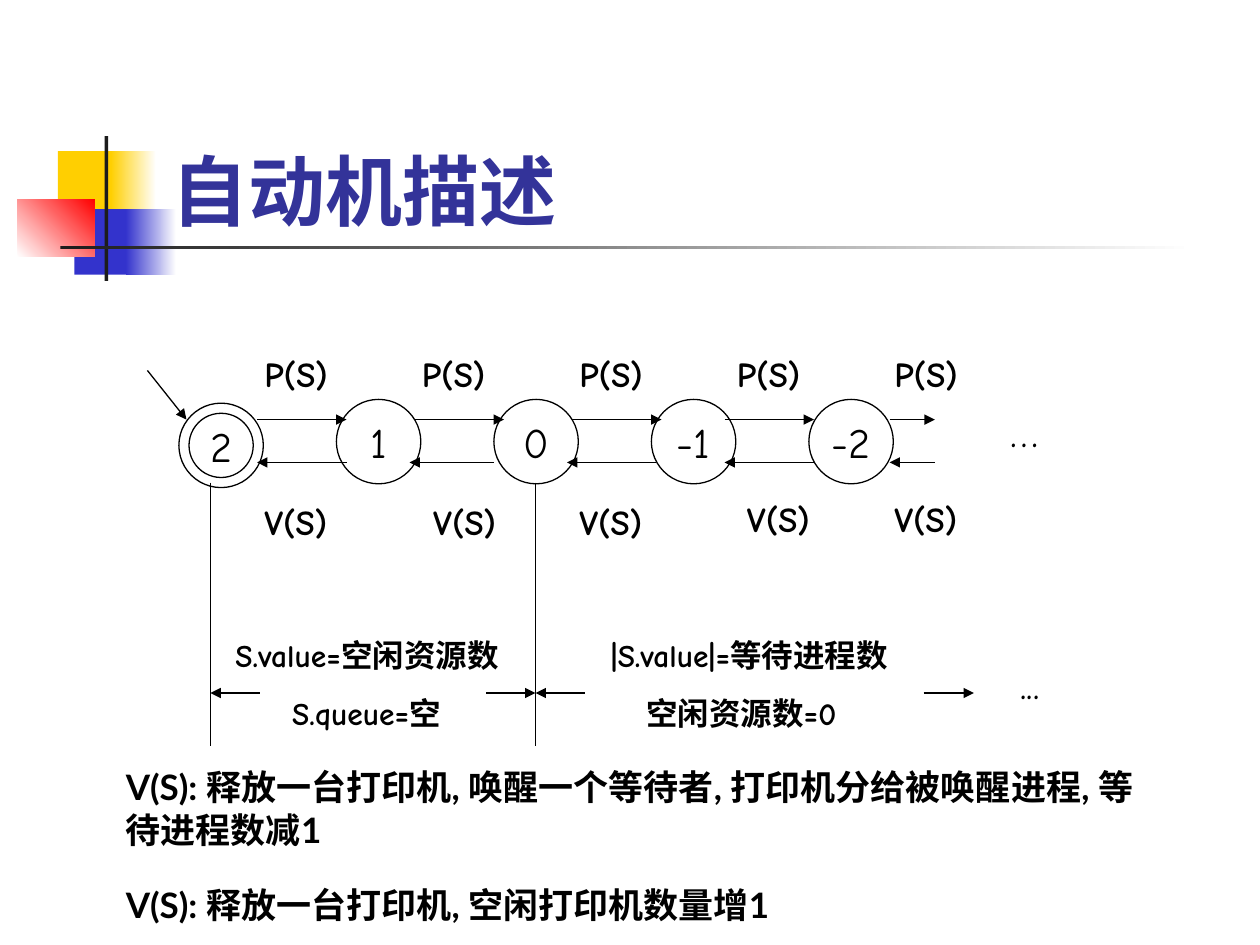
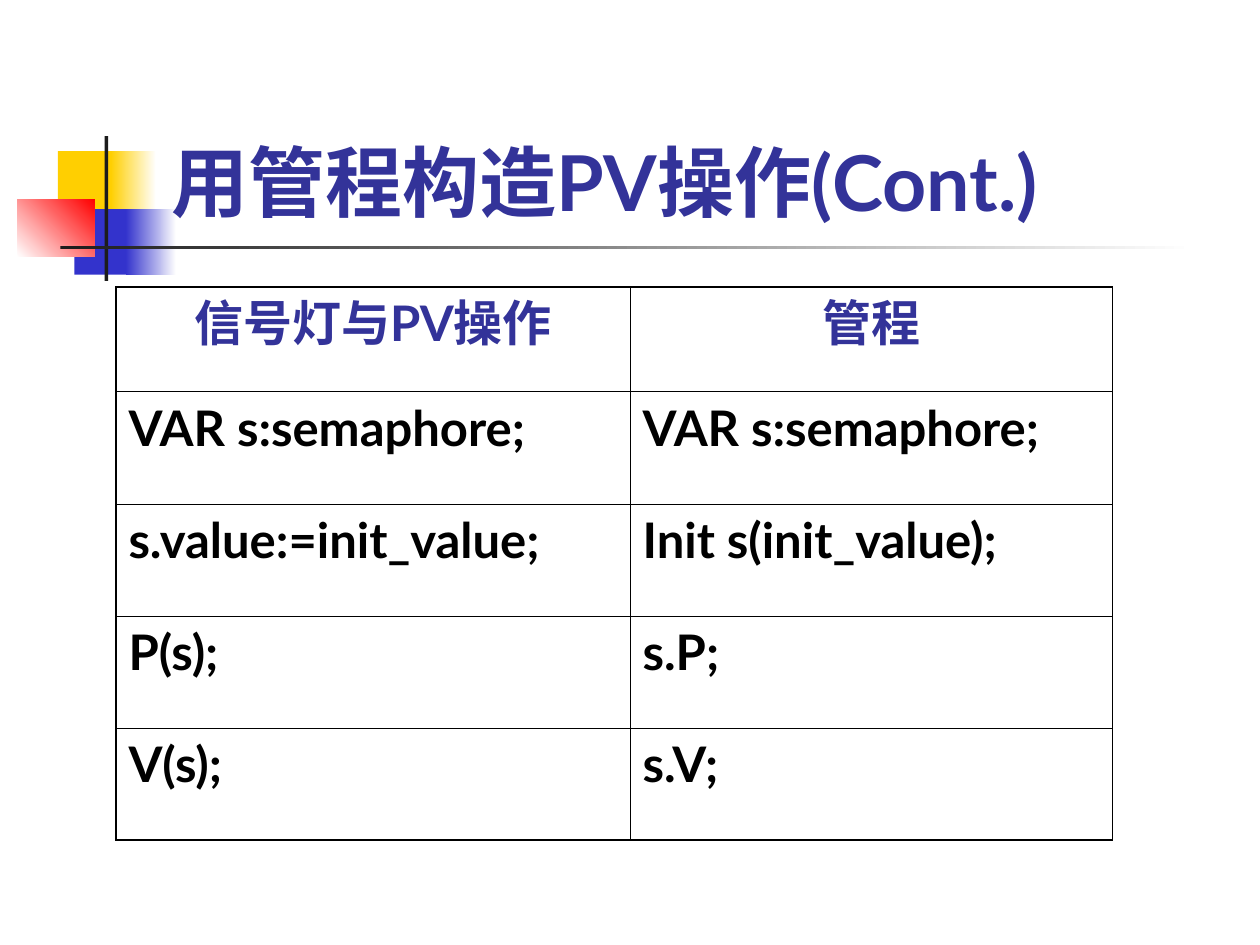
from lxml.etree import SubElement
from pptx import Presentation
from pptx.dml.color import RGBColor
from pptx.enum.shapes import MSO_CONNECTOR, MSO_SHAPE
from pptx.enum.text import MSO_ANCHOR, MSO_AUTO_SIZE, PP_ALIGN
from pptx.oxml import parse_xml
from pptx.oxml.ns import nsdecls, qn
from pptx.util import Inches, Pt

THEME = {
    "ink": "000000", "head": "333399", "gold": "FFCF01", "blue": "3333CC",
    "red": "FF0000", "dark": "1C1C1C", "white": "FFFFFF",
    "hand": "Comic Neue", "sans": "Lato",
    "title": 44, "cell": 28, "state": 24, "label": 20, "note": 18,
    "line": 0.75, "outer": 1.08, "inner": 0.45,
}

DECOR = [
    ((0.46, 1.2, 0.48, 0.52), ("gold",), 0),
    ((0.88, 1.2, 0.36, 0.52), ("gold", "white"), 0),
    ((0.59, 1.66, 0.46, 0.52), ("blue",), 0),
    ((1, 1.66, 0.4, 0.52), ("blue", "white"), 0),
    ((0.14, 1.58, 0.61, 0.46), ("white", "red"), 45),
    ((0.83, 1.08, 0.03, 1.15), ("dark",), 0),
    ((0.48, 1.95, 9, 0.03), ("dark", "white"), 0),
]

STATES = ["2", "1", "0", "-1", "-2"]
STEP, SIZE = 1.25, 0.67
P_ROW, V_ROW = 3.33, 3.67
P_SPANS = [(2.04, 2.75), (3.29, 4), (4.54, 5.25), (5.75, 6.46), (7.06, 7.42)]
V_SPANS = [(2.75, 2.04), (3.92, 3.25), (5.21, 4.5), (6.46, 5.75), (7.42, 7.06)]
V_SPOTS = [(2, 3.92), (3.34, 3.92), (4.5, 3.92), (5.83, 3.9), (7, 3.9)]
RANGES = [(3.86, 4.25), (2.06, 1.67), (4.64, 4.25), (7.33, 7.73)]
RANGE_ROW = 5.5
POSTS = [1.67, 4.25]
DOTS = [("…", (7.92, 3.17, 0.5, 0.5)), ("...", (8, 5.17, 0.67, 0.5))]
NOTES = [
    (["S.value=空闲资源数", "S.queue=空"], (1.77, 5, 2.52, 0.86), 0.45),
    (["|S.value|=等待进程数", "空闲资源数=0"], (4.75, 5, 2.77, 0.86), 0.28),
]
RULES = [
    "V(S): 释放一台打印机, 唤醒一个等待者, 打印机分给被唤醒进程, 等待进程数减1",
    "V(S): 释放一台打印机, 空闲打印机数量增1",
]

ROWS = [
    ("信号灯与PV操作", "管程"),
    ("VAR s:semaphore;", "VAR s:semaphore;"),
    ("s.value:=init_value;", "Init s(init_value);"),
    ("P(s);", "s.P;"),
    ("V(s);", "s.V;"),
]
COLS = [4.08, 3.83]
TALL = [0.83] + [0.89] * 4


def tint(name):
    return RGBColor.from_string(THEME[name])


def apply(thing, values):
    for name, value in values.items():
        setattr(thing, name, value)


def place(box):
    return [Inches(n) for n in box]


def write(frame, lines, size, face, color="ink", bold=True,
          align=PP_ALIGN.LEFT, gap=0, indent=0):
    for i, line in enumerate(lines):
        para = frame.paragraphs[0] if i == 0 else frame.add_paragraph()
        para.alignment = align
        if i:
            para.space_before = Pt(gap)
            para._p.get_or_add_pPr().set("marL", str(Inches(indent)))
        run = para.add_run()
        run.text = line
        apply(run.font, {"size": Pt(THEME[size]), "name": THEME[face], "bold": bold})
        run.font.color.rgb = tint(color)
        SubElement(run._r.get_or_add_rPr(), qn("a:ea"), typeface=THEME[face])


def add_text(slide, lines, box, size, face="hand", **style):
    frame = slide.shapes.add_textbox(*place(box)).text_frame
    apply(frame, {"word_wrap": True, "auto_size": MSO_AUTO_SIZE.SHAPE_TO_FIT_TEXT})
    write(frame, lines, size, face, **style)


def add_line(slide, start, end, arrow=True):
    line = slide.shapes.add_connector(MSO_CONNECTOR.STRAIGHT, *place(start + end))
    line.line.color.rgb = tint("ink")
    line.line.width = Pt(THEME["line"])
    if arrow:
        SubElement(line.line._get_or_add_ln(), qn("a:tailEnd"), type="triangle")
    SubElement(line._element.spPr, qn("a:effectLst"))


def add_ring(slide, left, top, size):
    ring = slide.shapes.add_shape(MSO_SHAPE.OVAL, *place((left, top, size, size)))
    ring.shadow.inherit = False
    ring.fill.background()
    ring.line.color.rgb = tint("ink")
    ring.line.width = Pt(THEME["line"])
    return ring


def add_decor(slide):
    for box, colors, angle in DECOR:
        block = slide.shapes.add_shape(MSO_SHAPE.RECTANGLE, *place(box))
        block.shadow.inherit = False
        block.line.fill.background()
        if len(colors) == 1:
            block.fill.solid()
            block.fill.fore_color.rgb = tint(colors[0])
        else:
            block.fill.gradient()
            block.fill.gradient_angle = angle
            for stop, color in zip(block.fill.gradient_stops, colors):
                stop.color.rgb = tint(color)


def start_slide(deck, text, box):
    slide = deck.slides.add_slide(deck.slide_layouts[5])
    add_decor(slide)
    title = slide.shapes.title
    title._element.getparent().append(title._element)
    apply(title, dict(zip(("left", "top", "width", "height"), place(box))))
    apply(title.text_frame, {"word_wrap": True, "auto_size": MSO_AUTO_SIZE.NONE,
                             "vertical_anchor": MSO_ANCHOR.BOTTOM})
    write(title.text_frame, [text], "title", "sans", "head")
    return slide


def draw_states(slide):
    for i, state in enumerate(STATES):
        top = 3.2 if i == 0 else 3.17
        ring = add_ring(slide, 1.42 + i * STEP, top, SIZE)
        apply(ring.text_frame, {"word_wrap": False, "vertical_anchor": MSO_ANCHOR.MIDDLE})
        write(ring.text_frame, [state], "state", "hand", bold=False, align=PP_ALIGN.CENTER)
        add_text(slide, ["P(S)"], (2 + i * STEP, 2.75, 0.83, 0.44), "label")
    add_ring(slide, 1.5, 3.28, 0.51)
    for left, top in V_SPOTS:
        add_text(slide, ["V(S)"], (left, top, 0.83, 0.44), "label")
    for row, spans in ((P_ROW, P_SPANS), (V_ROW, V_SPANS), (RANGE_ROW, RANGES)):
        for start, end in spans:
            add_line(slide, (start, row), (end, row))
    add_line(slide, (1.17, 2.94), (1.48, 3.33))
    for post in POSTS:
        add_line(slide, (post, 3.83), (post, 5.92), arrow=False)
    for dots, box in DOTS:
        add_text(slide, [dots], box, "state", bold=False)
    for lines, box, indent in NOTES:
        add_text(slide, lines, box, "note", gap=11.2, indent=indent)
    add_text(slide, RULES, (0.9, 6.03, 8.27, 1.38), "label", "sans", gap=19)


def add_edges(cell, edges):
    props = cell._tc.get_or_add_tcPr()
    for i, (side, outer) in enumerate(edges.items()):
        width = Pt(THEME["outer" if outer else "inner"])
        props.insert(i, parse_xml(
            f'<a:ln{side} {nsdecls("a")} w="{width}"><a:solidFill>'
            f'<a:srgbClr val="{THEME["ink"]}"/></a:solidFill></a:ln{side}>'))


def draw_table(slide):
    box = (0.92, 2.28, sum(COLS), sum(TALL))
    grid = slide.shapes.add_table(len(ROWS), len(COLS), *place(box)).table
    apply(grid, {"first_row": False, "horz_banding": False})
    for col, width in zip(grid.columns, COLS):
        col.width = Inches(width)
    for r, texts in enumerate(ROWS):
        grid.rows[r].height = Inches(TALL[r])
        style = {"color": "head", "align": PP_ALIGN.CENTER} if r == 0 else {}
        for c, text in enumerate(texts):
            cell = grid.cell(r, c)
            cell.fill.background()
            write(cell.text_frame, [text], "cell", "sans", **style)
            add_edges(cell, {"L": c == 0, "R": c == len(COLS) - 1,
                             "T": r == 0, "B": r == len(ROWS) - 1})


def main():
    deck = Presentation()
    apply(deck, {"slide_width": Inches(10), "slide_height": Inches(7.5)})
    draw_states(start_slide(deck, "自动机描述", (1.26, 0.67, 8.52, 1.25)))
    draw_table(start_slide(deck, "用管程构造PV操作(Cont.)", (1.26, 0.68, 8.52, 1.17)))
    deck.save("out.pptx")


if __name__ == "__main__":
    main()
